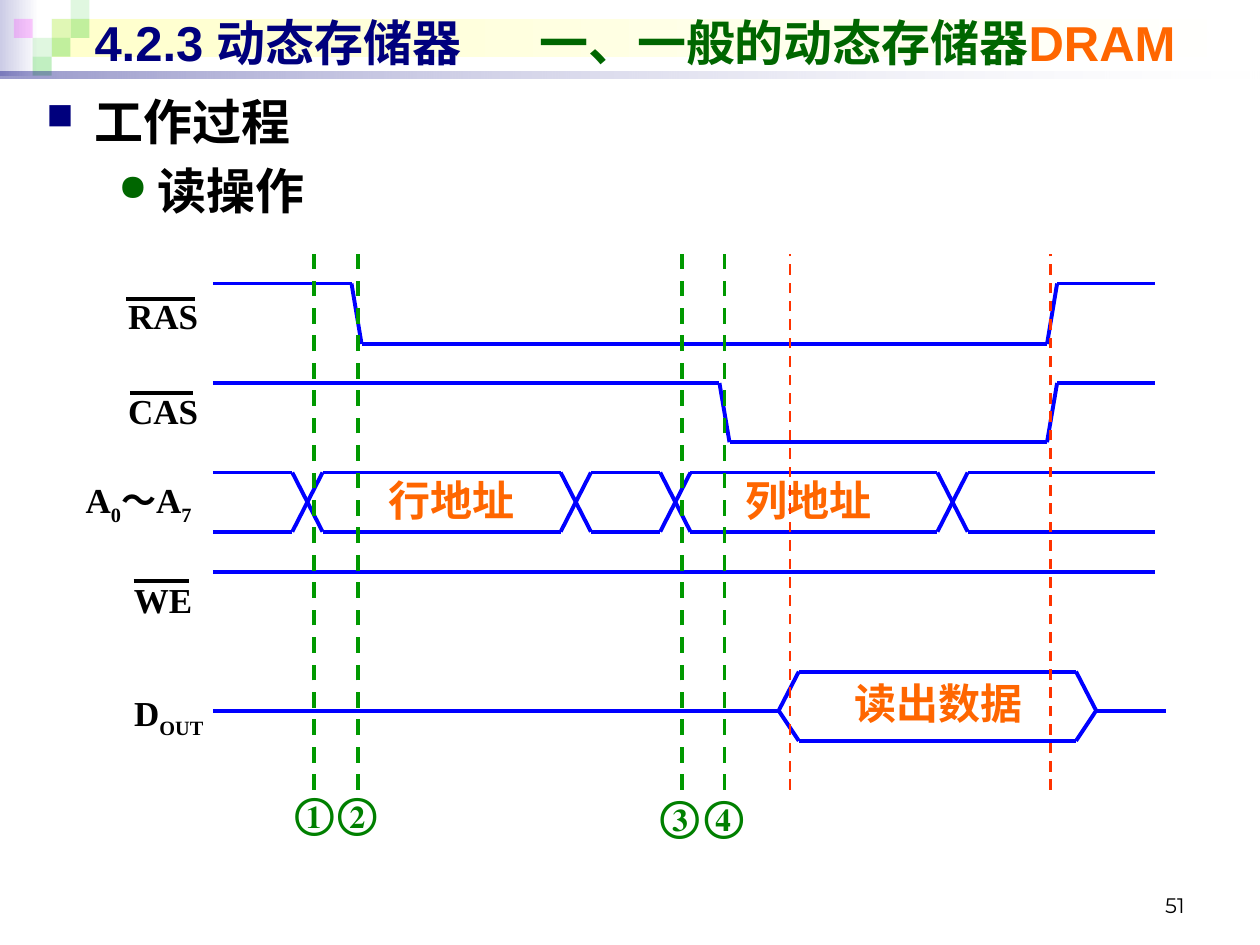
import collections

import lxml.etree
import pptx
import pptx.dml.color
import pptx.enum.dml
import pptx.enum.shapes
import pptx.enum.text
import pptx.oxml.ns
import pptx.util

Inches = pptx.util.Inches
Pt = pptx.util.Pt
ALIGN = pptx.enum.text.PP_ALIGN
ANCHOR = pptx.enum.text.MSO_ANCHOR
qn = pptx.oxml.ns.qn
Box = collections.namedtuple("Box", "left top width height")

COLORS = {
    "navy": "00007D", "forest": "006600", "orange": "FF6600", "black": "000000",
    "white": "FFFFFF", "lavender": "CCCCE6", "cream": "FFFFCC", "green": "33CC33",
    "magenta": "FF00FF", "signal": "0000FF", "marker": "009900",
    "limit": "FF3300", "number": "008000",
}
SERIF = "Times New Roman"


def rgb(name):
    return pptx.dml.color.RGBColor.from_string(COLORS[name])


def add_child(parent, tag, **attributes):
    return lxml.etree.SubElement(parent, qn(tag), attributes)


def set_font(font, size, name, color=None, bold=True):
    font.size, font.name, font.bold = Pt(size), name, bold
    if color:
        font.color.rgb = rgb(color)


def add_block(page, box, colors, alphas=()):
    block = page.shapes.add_shape(
        pptx.enum.shapes.MSO_SHAPE.RECTANGLE, *map(Inches, box))
    block.shadow.inherit = False
    block.line.fill.background()
    if len(colors) == 1:
        block.fill.solid()
        block.fill.fore_color.rgb = rgb(colors[0])
    else:
        block.fill.gradient()
        block.fill.gradient_angle = 0
        for stop, color in zip(block.fill.gradient_stops, colors):
            stop.color.rgb = rgb(color)
    tints = list(block._element.spPr.iter(qn("a:srgbClr")))
    for tint, alpha in zip(tints, alphas):
        add_child(tint, "a:alpha", val=str(alpha * 1000))


def add_line(page, start, end, color, width=2.25, dashed=False):
    line = page.shapes.add_connector(
        pptx.enum.shapes.MSO_CONNECTOR.STRAIGHT, *map(Inches, start + end))
    line.line.color.rgb = rgb(color)
    line.line.width = Pt(width)
    if dashed:
        line.line.dash_style = pptx.enum.dml.MSO_LINE.DASH
    add_child(line._element.spPr, "a:effectLst")


def add_text(page, box, spans, size, color, font=SERIF, align=ALIGN.CENTER,
             bold=True, anchor=ANCHOR.TOP):
    frame = page.shapes.add_textbox(*map(Inches, box)).text_frame
    frame.word_wrap = True
    frame.vertical_anchor = anchor
    para = frame.paragraphs[0]
    para.alignment = align
    set_font(para.font, size, font, color, bold)
    for index, words in enumerate(spans):
        span = para.add_run()
        span.text = words
        if index % 2:
            span._r.get_or_add_rPr().set("baseline", "-25000")


def draw_header(page, box):
    left, top, width, height = box
    step = 0.15
    add_block(page, Box(left, top, 0.31, 0.6), ["lavender", "white"])
    add_block(page, Box(left + 0.41, top + step, 9.55, 0.3), ["cream", "white"])
    tiles = [(2, 1, "green", 15), (3, 0, "green", 15), (3, 1, "green", 30),
             (1, 2, "green", 15), (0, 1, "magenta", 20), (2, 2, "green", 30),
             (1, 3, "green", 30)]
    for column, row, color, alpha in tiles:
        tile = Box(left + 0.11 + column * step, top + row * step, step, step)
        add_block(page, tile, [color], [alpha])
    add_block(page, Box(left, top + height - 0.05, width, 0.05),
              ["navy", "white"], [40, 10])


def draw_title(page, box):
    title = page.shapes.title
    page.shapes._spTree.append(title._element)
    title.left, title.top, title.width, title.height = map(Inches, box)
    frame = title.text_frame
    frame.word_wrap = True
    frame.auto_size = pptx.enum.text.MSO_AUTO_SIZE.NONE
    frame.vertical_anchor = ANCHOR.MIDDLE
    para = frame.paragraphs[0]
    para.alignment = ALIGN.LEFT
    tabs = add_child(para._p.get_or_add_pPr(), "a:tabLst")
    add_child(tabs, "a:tab", pos=str(Inches(3.53)), algn="l")
    set_font(para.font, 28, "Arial")
    for words, color in [("4.2.3 动态存储器\t", "navy"),
                         ("一、一般的动态存储器", "forest"), ("DRAM", "orange")]:
        span = para.add_run()
        span.text = words
        span.font.color.rgb = rgb(color)


def draw_outline(page, box):
    frame = page.shapes.add_textbox(*map(Inches, box)).text_frame
    frame.word_wrap = True
    items = [("工作过程", "■", "navy", 0.38, 0.38),
             ("读操作", "●", "forest", 0.88, 0.31)]
    for level, (words, mark, color, margin, hanging) in enumerate(items):
        para = frame.add_paragraph() if level else frame.paragraphs[0]
        para.level = level
        if level:
            para.space_before = Pt(5.6)
        properties = para._p.get_or_add_pPr()
        properties.set("marL", str(Inches(margin)))
        properties.set("indent", str(-Inches(hanging)))
        add_child(add_child(properties, "a:buClr"), "a:srgbClr", val=COLORS[color])
        add_child(properties, "a:buSzPct", val="75000")
        add_child(properties, "a:buChar", char=mark)
        set_font(para.font, 28, SERIF, "black")
        para.add_run().text = words


def draw_timing(page, box):
    left, top, width, height = box

    def trace(*points):
        placed = [(left + x, top + y) for x, y in points]
        for start, end in zip(placed, placed[1:]):
            add_line(page, start, end, "signal")

    def label(x, y, w, h, spans, size, color):
        add_text(page, Box(left + x, top + y, w, h), spans, size, color)

    for fall, high, low in [(1.1, 0.23, 0.71), (4.02, 1.02, 1.49)]:
        trace((0, high), (fall, high), (fall + 0.08, low), (6.62, low),
              (6.7, high), (width, high))

    upper, lower, slope = 1.73, 2.2, 0.24
    crossings = [0.63, 2.76, 3.55, 5.75]
    for x in crossings:
        trace((x, upper), (x + slope, lower))
        trace((x + slope, upper), (x, lower))
    starts = [0] + [x + slope for x in crossings]
    for start, end in zip(starts, crossings + [width]):
        for y in (upper, lower):
            trace((start, y), (end, y))

    trace((0, 2.52), (width, 2.52))
    trace((0, 3.62), (4.49, 3.62), (4.65, 3.31), (6.85, 3.31), (7.01, 3.62),
          (7.56, 3.62))
    trace((4.49, 3.62), (4.65, 3.86), (6.85, 3.86), (7.01, 3.62))

    for words, x, y, w in [("行地址", 1.11, 1.7, 1.57), ("列地址", 3.94, 1.7, 1.57),
                           ("读出数据", 4.73, 3.31, 2.05)]:
        label(x, y, w, 0.5, [words], 24, "orange")

    for x, color, weight in [(4.58, "limit", 1.5), (4.06, "marker", 2.25),
                             (3.72, "marker", 2.25), (1.15, "marker", 2.25),
                             (0.8, "marker", 2.25), (6.65, "limit", 1.5)]:
        add_line(page, (left + x, top + height), (left + x, top), color, weight, True)

    for words, x, y in [("①", 0.53, 4.17), ("②", 0.87, 4.17),
                        ("③", 3.43, 4.2), ("④", 3.78, 4.2)]:
        label(x, y, 0.55, 0.5, [words], 24, "number")

    for words, y, bar_start, bar_end, bar_y in [
            ("RAS", 0.27, -0.69, -0.14, 0.35), ("CAS", 1.02, -0.66, -0.16, 1.1),
            ("WE", 2.52, -0.63, -0.19, 2.59)]:
        label(-0.79, y, 0.79, 0.43, [words], 20, "black")
        add_line(page, (left + bar_start, top + bar_y),
                 (left + bar_end, top + bar_y), "black")
    label(-1.18, 1.73, 1.18, 0.43, ["A", "0", "～A", "7"], 20, "black")
    label(-0.86, 3.42, 1.02, 0.43, ["D", "OUT"], 20, "black")


def main():
    deck = pptx.Presentation()
    deck.slide_width, deck.slide_height = Inches(10), Inches(7.5)
    page = deck.slides.add_slide(deck.slide_layouts[5])
    draw_header(page, Box(0, 0, 10, 0.62))
    add_text(page, Box(7.17, 6.83, 2.33, 0.5), ["51"], 12, "black", "Montserrat",
             ALIGN.RIGHT, False, ANCHOR.BOTTOM)
    draw_title(page, Box(0.65, 0.05, 9.16, 0.57))
    draw_outline(page, Box(0.27, 0.68, 5.28, 6.54))
    draw_timing(page, Box(1.69, 2.02, 7.48, 4.25))
    deck.save("out.pptx")


if __name__ == "__main__":
    main()
